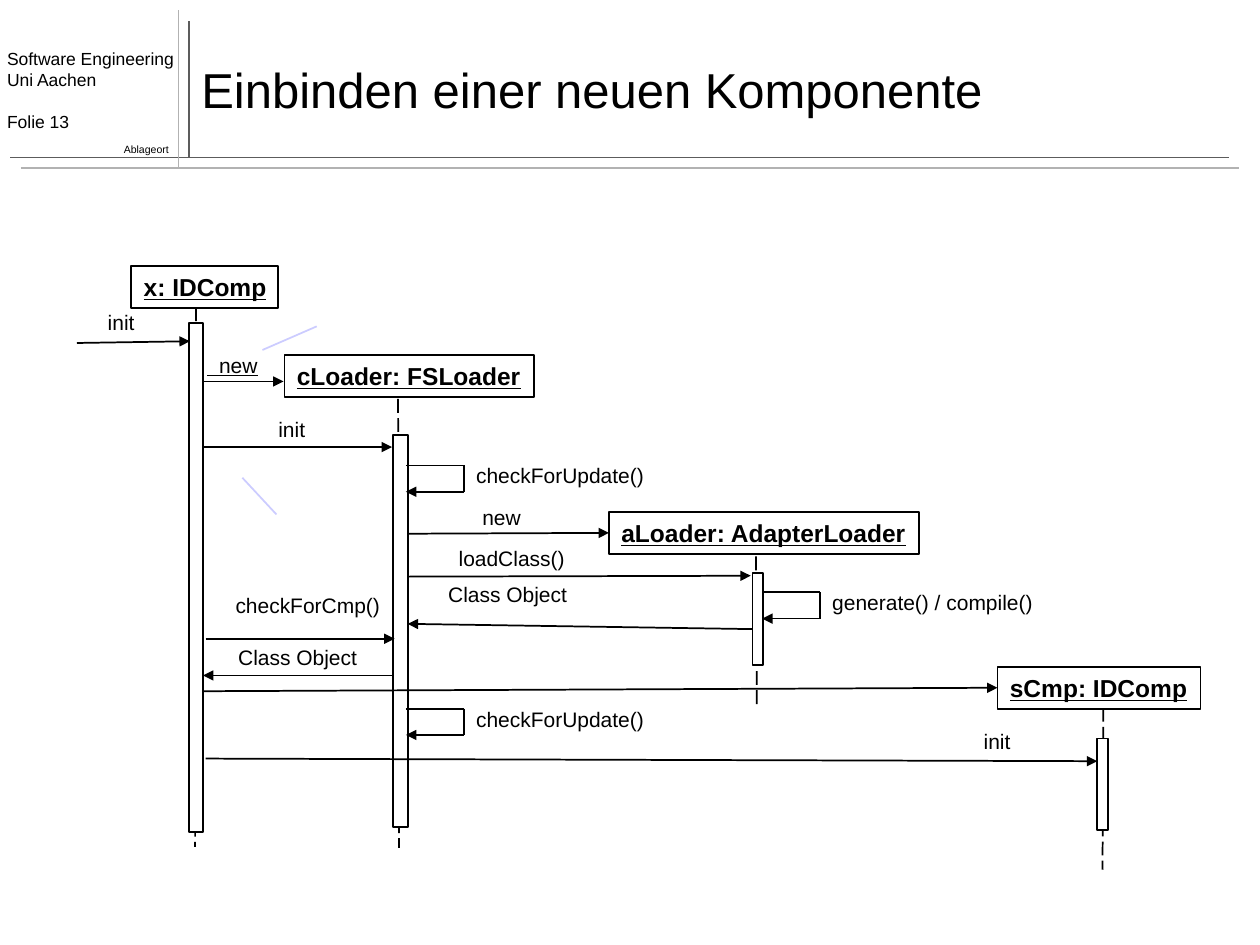
"""Build a slide with a sequence diagram for adding a new component."""
from lxml.etree import SubElement
from pptx import Presentation
from pptx.dml.color import RGBColor
from pptx.enum.dml import MSO_LINE
from pptx.enum.shapes import MSO_CONNECTOR, MSO_SHAPE
from pptx.enum.text import MSO_ANCHOR as ANCHOR, PP_ALIGN as ALIGN
from pptx.oxml.ns import qn
from pptx.util import Pt

BLACK = RGBColor(0x00, 0x00, 0x00)
WHITE = RGBColor(0xFF, 0xFF, 0xFF)
DARK = RGBColor(0x5C, 0x5C, 0x5C)
GREY = RGBColor(0xB2, 0xB2, 0xB2)
LAVENDER = RGBColor(0xCC, 0xCC, 0xFF)

TITLE = "Einbinden einer neuen Komponente"
HEADER = ["Software Engineering", "Uni Aachen", "Folie 13"]
FOOTER = "Ablageort"

RULES = [
    ((108, 90), (108, 12), DARK),
    ((6, 90), (702, 90), DARK),
    ((12, 96), (708, 96), GREY),
    ((102, 96), (102, 6), GREY),
    ((181, 186.5), (150, 200), LAVENDER),
    ((158, 294), (138.5, 273), LAVENDER),
]
LIFELINES = [
    ((112, 175.5), (111.5, 484)),
    ((227.5, 228), (228, 484.5)),
    ((432, 318), (432.5, 403)),
    ((630.5, 404.5), (630, 497)),
]
OBJECTS = {
    "x: IDComp": (75, 152, 84),
    "cLoader: FSLoader": (162.5, 203, 142.5),
    "aLoader: AdapterLoader": (348, 292.5, 177),
    "sCmp: IDComp": (570, 381, 116),
}
ACTIVATIONS = [
    (108, 184.5, 8, 291),
    (224.5, 248.5, 8.5, 224),
    (430, 327.5, 6, 52.5),
    (627, 422, 6, 52.5),
]
MESSAGES = [
    ((44, 196), (108.5, 195), None),
    ((116, 218), (162, 218), None),
    ((116, 255.5), (224, 255.5), None),
    ((233, 305), (348, 304.5), "aLoader: AdapterLoader"),
    ((233, 329.5), (429, 329), None),
    ((430, 359.5), (233, 356.5), None),
    ((117.5, 365), (225.5, 365), None),
    ((224, 386), (116, 386), None),
    ((116, 395), (570, 393), "sCmp: IDComp"),
    ((117.5, 433.5), (627, 435), None),
]
LABELS = [
    ("init", 54.5, 173.5, 30),
    ("  new", 111.5, 198, 44),
    ("init", 152, 234.5, 30),
    ("new", 268.5, 284.5, 38),
    ("loadClass()", 255, 308, 88),
    ("Class Object", 249, 329, 84),
    ("checkForCmp()", 127.5, 335, 98),
    ("Class Object", 129, 365, 84),
    ("init", 555, 412.5, 30),
]
SELF_CALLS = [
    ("checkForUpdate()", 232, 266, 111),
    ("generate() / compile()", 435.5, 338.5, 130),
    ("checkForUpdate()", 232, 405, 111),
]
LOOP_W, LOOP_H, LABEL_H, OBJECT_H = 33, 15, 21.5, 24


def fill_text(sp, lines, size, wrap=True, anchor=ANCHOR.TOP, align=ALIGN.LEFT):
    tf = sp.text_frame
    tf.text = "\n".join(lines)
    tf.word_wrap = wrap
    tf.vertical_anchor = anchor
    for p in tf.paragraphs:
        p.alignment = align
        for r in p.runs:
            r.font.name = "Arial"
            r.font.size = Pt(size)
            r.font.color.rgb = BLACK
    return tf


def add_text(s, box, lines, size, **options):
    sp = s.shapes.add_textbox(*map(Pt, box))
    return fill_text(sp, lines, size, **options)


def add_line(s, start, end, color=BLACK, arrow=False):
    c = s.shapes.add_connector(MSO_CONNECTOR.STRAIGHT, *map(Pt, start + end))
    c.line.color.rgb = color
    c.line.width = Pt(1)
    sp_pr = c._element.spPr
    if arrow:
        SubElement(sp_pr.find(qn("a:ln")), qn("a:tailEnd"), type="triangle")
    SubElement(sp_pr, qn("a:effectLst"))
    return c


def add_box(s, box):
    sp = s.shapes.add_shape(MSO_SHAPE.RECTANGLE, *map(Pt, box))
    sp.shadow.inherit = False
    sp.fill.solid()
    sp.fill.fore_color.rgb = WHITE
    sp.line.color.rgb = BLACK
    sp.line.width = Pt(1)
    return sp


def add_header(s):
    tf = add_text(s, (-3, 11, 111, 68), HEADER, 10, anchor=ANCHOR.BOTTOM)
    tf.paragraphs[-1].space_before = Pt(12)
    add_text(s, (55.5, 78, 48, 14.5), [FOOTER], 6, align=ALIGN.RIGHT)
    add_text(s, (108, 18, 600, 66), [TITLE], 28, anchor=ANCHOR.MIDDLE)


def add_object(s, name, x, y, w):
    sp = add_box(s, (x, y, w, OBJECT_H))
    tf = fill_text(sp, [name], 14, wrap=False)
    font = tf.paragraphs[0].runs[0].font
    font.bold = font.underline = True
    return sp


def add_label(s, text, x, y, w):
    tf = add_text(s, (x, y, w, LABEL_H), [text], 12)
    tf.paragraphs[0].runs[0].font.underline = text.startswith(" ")


def add_self_call(s, text, x, y, w):
    right, bottom = x + LOOP_W, y + LOOP_H
    add_line(s, (x, y), (right, y))
    add_line(s, (right, y), (right, bottom))
    add_line(s, (right, bottom), (x, bottom), arrow=True)
    add_label(s, text, right, y - 5, w)


def main():
    prs = Presentation()
    prs.slide_width, prs.slide_height = Pt(720), Pt(540)
    s = prs.slides.add_slide(prs.slide_layouts[6])
    for start, end, color in RULES:
        add_line(s, start, end, color)
    add_header(s)
    for start, end in LIFELINES:
        add_line(s, start, end).line.dash_style = MSO_LINE.LONG_DASH
    objects = {name: add_object(s, name, *at) for name, at in OBJECTS.items()}
    for box in ACTIVATIONS:
        add_box(s, box)
    for start, end, target in MESSAGES:
        c = add_line(s, start, end, arrow=True)
        if target:
            c.end_connect(objects[target], 1)
    for label in LABELS:
        add_label(s, *label)
    for call in SELF_CALLS:
        add_self_call(s, *call)
    prs.save("out.pptx")


if __name__ == "__main__":
    main()
